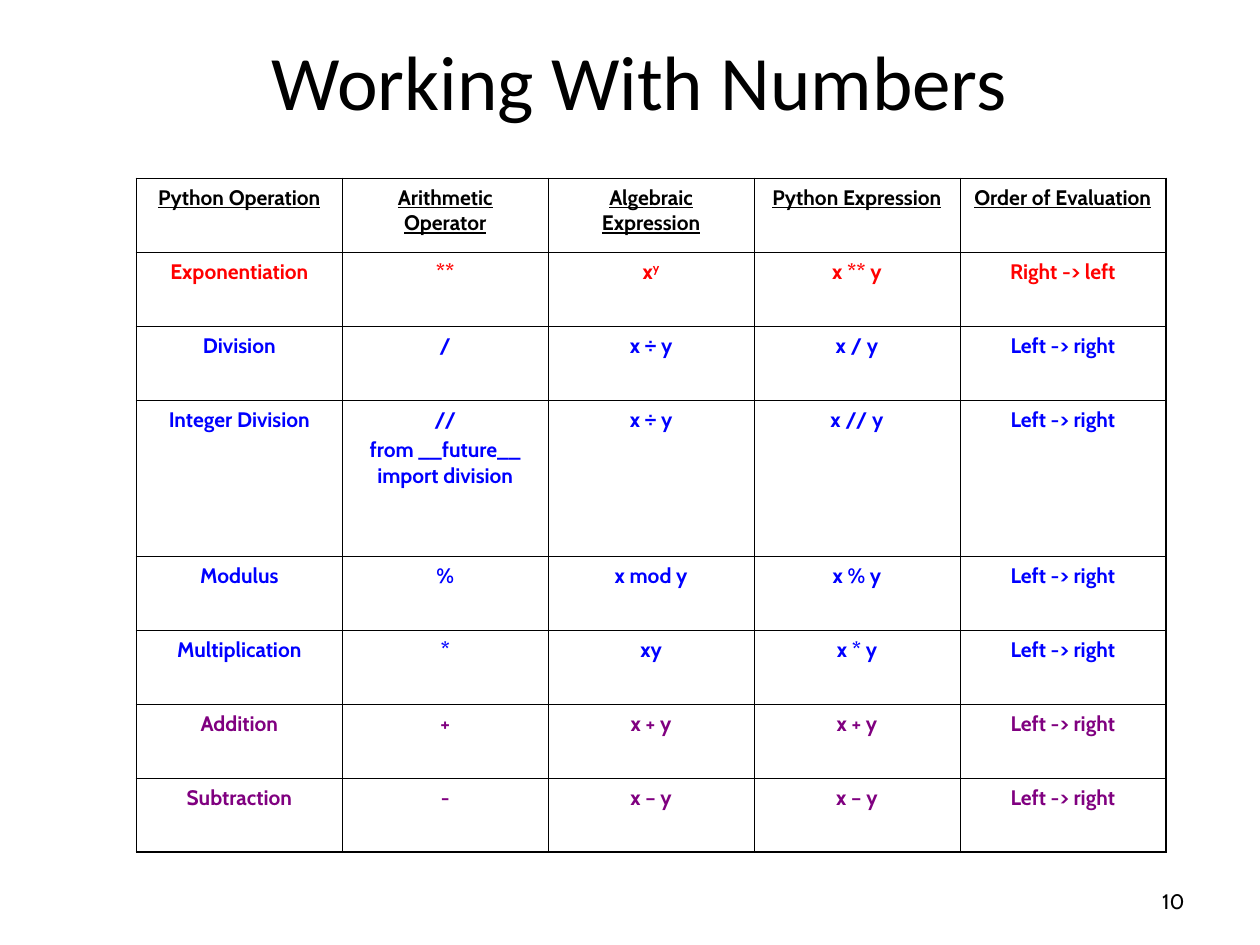
from lxml import etree
from pptx import Presentation
from pptx.dml.color import RGBColor
from pptx.enum.text import MSO_ANCHOR, PP_ALIGN
from pptx.oxml.ns import qn
from pptx.util import Cm, Pt

CENTER, RIGHT = PP_ALIGN.CENTER, PP_ALIGN.RIGHT
MIDDLE = MSO_ANCHOR.MIDDLE

COLORS = {"black": "000000", "red": "FF0000", "blue": "0000FF", "purple": "800080"}
THIN, THICK = Pt(0.45), Pt(1.08)
COLUMN_WIDTH = 4.15
ROW_HEIGHT, TALL_ROW_HEIGHT = 1.49, 3.15

POWER = [("x", {}), ("y", {"baseline": 30})]
QUOTIENT = [("x ", {}), ("÷", {"font": "Arial"}), (" y", {})]
LEFT_RIGHT = "Left -> right"

ROWS = [
    ("black", ["Python Operation", "Arithmetic Operator", "Algebraic Expression",
               "Python Expression", "Order of Evaluation"]),
    ("red", ["Exponentiation", "**", POWER, "x ** y", "Right -> left"]),
    ("blue", ["Division", "/", QUOTIENT, "x / y", LEFT_RIGHT]),
    ("blue", ["Integer Division", "//\nfrom __future__ import division", QUOTIENT,
              "x // y", LEFT_RIGHT]),
    ("blue", ["Modulus", "%", "x mod y", "x % y", LEFT_RIGHT]),
    ("blue", ["Multiplication", "*", "xy", "x * y", LEFT_RIGHT]),
    ("purple", ["Addition", "+", "x + y", "x + y", LEFT_RIGHT]),
    ("purple", ["Subtraction", "-", "x – y", "x – y", LEFT_RIGHT]),
]


def add_span(para, text, size=12, font="Cabin", color="black", bold=False,
             underline=False, baseline=0):
    """Add one formatted run to a paragraph."""
    span = para.add_run()
    span.text = text
    span.font.size = Pt(size)
    span.font.name = font
    span.font.bold = bold
    span.font.underline = underline
    span.font.color.rgb = RGBColor.from_string(COLORS[color])
    if baseline:
        span.font._element.set("baseline", str(baseline * 1000))


def write_text(frame, content, align=CENTER, **style):
    """Fill a text frame from a string of lines or a list of styled runs."""
    if isinstance(content, str):
        lines = [[(line, {})] for line in content.split("\n")]
    else:
        lines = [content]
    for index, runs in enumerate(lines):
        para = frame.add_paragraph() if index else frame.paragraphs[0]
        para.alignment = align
        if index:
            para.space_before = Pt(3)
        for text, changes in runs:
            add_span(para, text, **{**style, **changes})


def add_text_box(page, content, left, top, width, height, **style):
    """Add a wrapped, vertically centred text box."""
    box = page.shapes.add_textbox(Cm(left), Cm(top), Cm(width), Cm(height))
    box.text_frame.word_wrap = True
    box.text_frame.vertical_anchor = MIDDLE
    write_text(box.text_frame, content, **style)


def set_borders(cell, widths):
    """Draw solid black borders, given widths in left, right, top, bottom order."""
    properties = cell._tc.get_or_add_tcPr()
    for index, (side, width) in enumerate(zip("LRTB", widths)):
        line = etree.Element(qn(f"a:ln{side}"), w=str(width))
        fill = etree.SubElement(line, qn("a:solidFill"))
        etree.SubElement(fill, qn("a:srgbClr"), val=COLORS["black"])
        properties.insert(index, line)


def add_operator_table(page, left, top):
    """Add the table of operators with a thicker outer frame."""
    heights = [TALL_ROW_HEIGHT if cells[0] == "Integer Division" else ROW_HEIGHT
               for _, cells in ROWS]
    row_count, column_count = len(ROWS), len(ROWS[0][1])
    table = page.shapes.add_table(
        row_count, column_count, Cm(left), Cm(top),
        Cm(COLUMN_WIDTH * column_count), Cm(sum(heights))).table
    table.first_row = False
    table.horz_banding = False
    for column in table.columns:
        column.width = Cm(COLUMN_WIDTH)
    for r, (color, contents) in enumerate(ROWS):
        table.rows[r].height = Cm(heights[r])
        for c, content in enumerate(contents):
            cell = table.cell(r, c)
            cell.fill.background()
            write_text(cell.text_frame, content, color=color, bold=True,
                       underline=r == 0)
            outer = (c == 0, c == column_count - 1, r == 0, r == row_count - 1)
            set_borders(cell, [THICK if edge else THIN for edge in outer])


def main():
    """Build the slide on Python's arithmetic operators."""
    deck = Presentation()
    deck.slide_width, deck.slide_height = Cm(25.4), Cm(19.05)
    page = deck.slides.add_slide(deck.slide_layouts[6])
    add_text_box(page, "Working With Numbers", 1.47, 0.43, 22.86, 2.34,
                 size=44, font="Calibri")
    add_operator_table(page, 2.75, 3.6)
    add_text_box(page, "10", 18.21, 17.65, 5.92, 1.02, align=RIGHT)
    deck.save("out.pptx")


if __name__ == "__main__":
    main()
